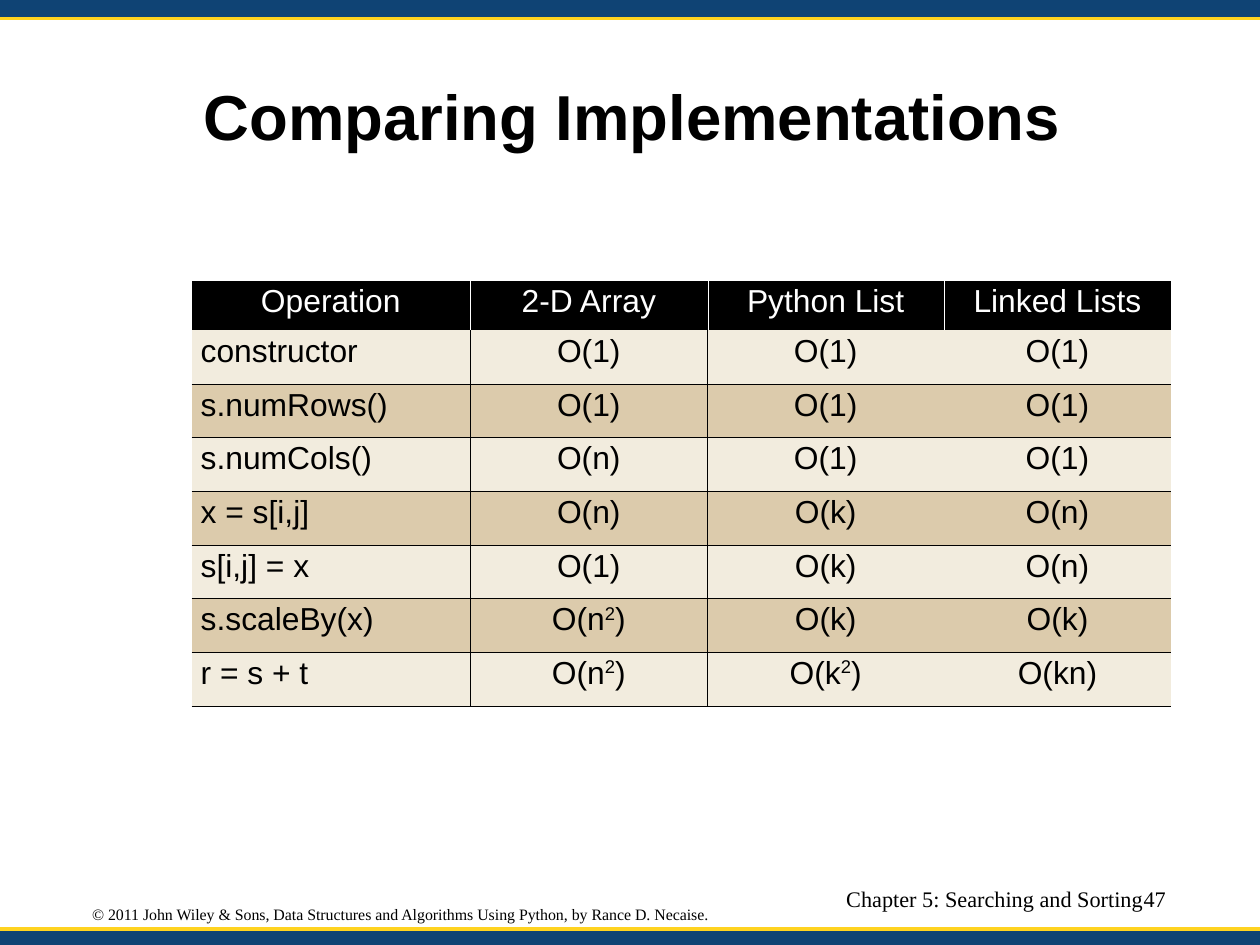
import dataclasses
import itertools

import pptx
import pptx.dml.color
import pptx.enum.shapes
import pptx.enum.text
import pptx.oxml
import pptx.oxml.ns
import pptx.util

ALIGN = pptx.enum.text.PP_ALIGN
ANCHOR = pptx.enum.text.MSO_ANCHOR
SLIDE_WIDTH = pptx.util.Cm(28)
SLIDE_HEIGHT = pptx.util.Cm(21)
NO_GRID_STYLE = "{2D5ABB26-0587-4C30-8999-92F81FD0307C}"
HEADINGS = ["Operation", "2-D Array", "Python List", "Linked Lists"]
COSTS = [
    ["constructor", "O(1)", "O(1)", "O(1)"],
    ["s.numRows()", "O(1)", "O(1)", "O(1)"],
    ["s.numCols()", "O(n)", "O(1)", "O(1)"],
    ["x = s[i,j]", "O(n)", "O(k)", "O(n)"],
    ["s[i,j] = x", "O(1)", "O(k)", "O(n)"],
    ["s.scaleBy(x)", "O(n²)", "O(k)", "O(k)"],
    ["r = s + t", "O(n²)", "O(k²)", "O(kn)"],
]
COLUMN_SHARES = [2.44, 2.08, 2.07, 1.99]
ROW_SHARES = [0.44] + [0.47] * len(COSTS)


@dataclasses.dataclass(frozen=True)
class Theme:
    """Colours, fonts, type sizes and line widths of the slide."""

    band: str = "0F4374"
    rule: str = "FFD320"
    ink: str = "000000"
    paper: str = "FFFFFF"
    light_row: str = "F2ECDE"
    dark_row: str = "DCCBAC"
    sans: str = "Arial"
    serif: str = "Times New Roman"
    title_size: int = 40
    table_size: int = 20
    footer_size: int = 14
    copyright_size: int = 10
    rule_width: float = 2
    grid_width: float = 0.28
    heading_grid_width: float = 0.06
    line_spacing: float = 0.93


THEME = Theme()


@dataclasses.dataclass(frozen=True)
class Box:
    """A rectangle given in percent of the slide's width and height."""

    left: float
    top: float
    width: float
    height: float

    def place(self):
        """Return left, top, width and height as lengths."""
        sizes = itertools.cycle([SLIDE_WIDTH, SLIDE_HEIGHT])
        shares = dataclasses.astuple(self)
        return [int(size * share / 100) for size, share in zip(sizes, shares)]


def colour(code):
    """Return the colour for a hexadecimal code."""
    return pptx.dml.color.RGBColor.from_string(code)


def format_paragraph(paragraph, font, size, ink, align, bold=False):
    """Apply alignment, line spacing and type to a paragraph's runs."""
    paragraph.alignment = align
    paragraph.line_spacing = THEME.line_spacing
    for run in paragraph.runs:
        run.font.name = font
        run.font.size = pptx.util.Pt(size)
        run.font.bold = bold
        run.font.color.rgb = colour(ink)


def add_label(slide, box, text, font, size, align=ALIGN.LEFT, anchor=ANCHOR.TOP, bold=False, wrap=True):
    """Add one line of text without margins in the given box."""
    frame = slide.shapes.add_textbox(*box.place()).text_frame
    frame.margin_left = frame.margin_right = frame.margin_top = frame.margin_bottom = 0
    frame.word_wrap = wrap
    frame.vertical_anchor = anchor
    frame.text = text
    format_paragraph(frame.paragraphs[0], font, size, THEME.ink, align, bold)


def add_band(slide, box, rule_below):
    """Add a coloured band with a thin rule along its inner edge."""
    left, top, width, height = box.place()
    band = slide.shapes.add_shape(pptx.enum.shapes.MSO_SHAPE.RECTANGLE, left, top, width, height)
    band.shadow.inherit = False
    band.fill.solid()
    band.fill.fore_color.rgb = colour(THEME.band)
    band.line.fill.background()
    edge = top + height if rule_below else top
    rule = slide.shapes.add_connector(
        pptx.enum.shapes.MSO_CONNECTOR.STRAIGHT, left, edge, left + width, edge)
    rule.line.color.rgb = colour(THEME.rule)
    rule.line.width = pptx.util.Pt(THEME.rule_width)
    rule._element.spPr.append(pptx.oxml.parse_xml(
        f'<a:effectLst {pptx.oxml.ns.nsdecls("a")}/>'))


def set_borders(cell, sides, ink, width):
    """Draw the named sides of a cell and clear the others."""
    properties = cell._tc.get_or_add_tcPr()
    for side in "LRTB":
        paint = f'<a:solidFill><a:srgbClr val="{ink}"/></a:solidFill>' if side in sides else "<a:noFill/>"
        properties.append(pptx.oxml.parse_xml(
            f'<a:ln{side} {pptx.oxml.ns.nsdecls("a")} w="{int(pptx.util.Pt(width))}">{paint}</a:ln{side}>'))


def write_cell(cell, text, ink, align, fill, margin):
    """Fill a cell and write its text, raising a squared sign."""
    cell.fill.solid()
    cell.fill.fore_color.rgb = colour(fill)
    cell.margin_left = cell.margin_right = pptx.util.Inches(margin)
    cell.margin_top = cell.margin_bottom = pptx.util.Inches(0.05)
    paragraph = cell.text_frame.paragraphs[0]
    base, square, rest = text.partition("²")
    paragraph.text = base
    if square:
        raised = paragraph.add_run()
        raised.text = "2"
        raised._r.get_or_add_rPr().set("baseline", "33000")
        paragraph.add_run().text = rest
    format_paragraph(paragraph, THEME.sans, THEME.table_size, ink, align)


def body_sides(row, column):
    """Return the sides of a body cell that carry a grid line."""
    sides = "B"
    if row > 1:
        sides += "T"
    if column in (0, 1):
        sides += "R"
    if column in (1, 2):
        sides += "L"
    return sides


def add_cost_table(slide, box):
    """Add the table of operation costs in the given box."""
    left, top, width, height = box.place()
    table = slide.shapes.add_table(
        len(ROW_SHARES), len(COLUMN_SHARES), left, top, width, height).table
    table._tbl.tblPr.find(pptx.oxml.ns.qn("a:tableStyleId")).text = NO_GRID_STYLE
    table.first_row = table.horz_banding = False
    for column, share in zip(table.columns, COLUMN_SHARES):
        column.width = int(width * share / sum(COLUMN_SHARES))
    for row, share in zip(table.rows, ROW_SHARES):
        row.height = int(height * share / sum(ROW_SHARES))
    for column, heading in enumerate(HEADINGS):
        cell = table.cell(0, column)
        set_borders(cell, "LRTB", THEME.paper, THEME.heading_grid_width)
        write_cell(cell, heading, THEME.paper, ALIGN.CENTER, THEME.ink, 0.1)
    for row, costs in enumerate(COSTS, start=1):
        fill = THEME.light_row if row % 2 else THEME.dark_row
        for column, text in enumerate(costs):
            cell = table.cell(row, column)
            set_borders(cell, body_sides(row, column), THEME.ink, THEME.grid_width)
            align = ALIGN.CENTER if column else ALIGN.LEFT
            write_cell(cell, text, THEME.ink, align, fill, 0.08)


def add_footer(slide, copyright_box, chapter_box, page_box):
    """Add the copyright line, the chapter name and the page number."""
    add_label(slide, copyright_box,
              "© 2011 John Wiley & Sons, Data Structures and Algorithms Using Python, by Rance D. Necaise.",
              THEME.serif, THEME.copyright_size, anchor=ANCHOR.MIDDLE, wrap=False)
    add_label(slide, chapter_box, "Chapter 5: Searching and Sorting",
              THEME.serif, THEME.footer_size, ALIGN.RIGHT)
    add_label(slide, page_box, "47", THEME.serif, THEME.footer_size)


def main():
    """Build the slide and save the presentation."""
    presentation = pptx.Presentation()
    presentation.slide_width = SLIDE_WIDTH
    presentation.slide_height = SLIDE_HEIGHT
    slide = presentation.slides.add_slide(presentation.slide_layouts[6])
    add_band(slide, Box(0, 0, 100, 1.93), rule_below=True)
    add_band(slide, Box(0, 98.3, 100, 1.9), rule_below=False)
    add_label(slide, Box(5, 4.3, 90.3, 16.7), "Comparing Implementations",
              THEME.sans, THEME.title_size, ALIGN.CENTER, ANCHOR.MIDDLE, bold=True)
    add_cost_table(slide, Box(15.2, 29.63, 77.75, 45.1))
    add_footer(slide, Box(7.31, 95.95, 49.45, 1.8),
               Box(59.07, 93.9, 31.67, 4.23), Box(90.76, 93.9, 4.2, 4.23))
    presentation.save("out.pptx")


if __name__ == "__main__":
    main()
